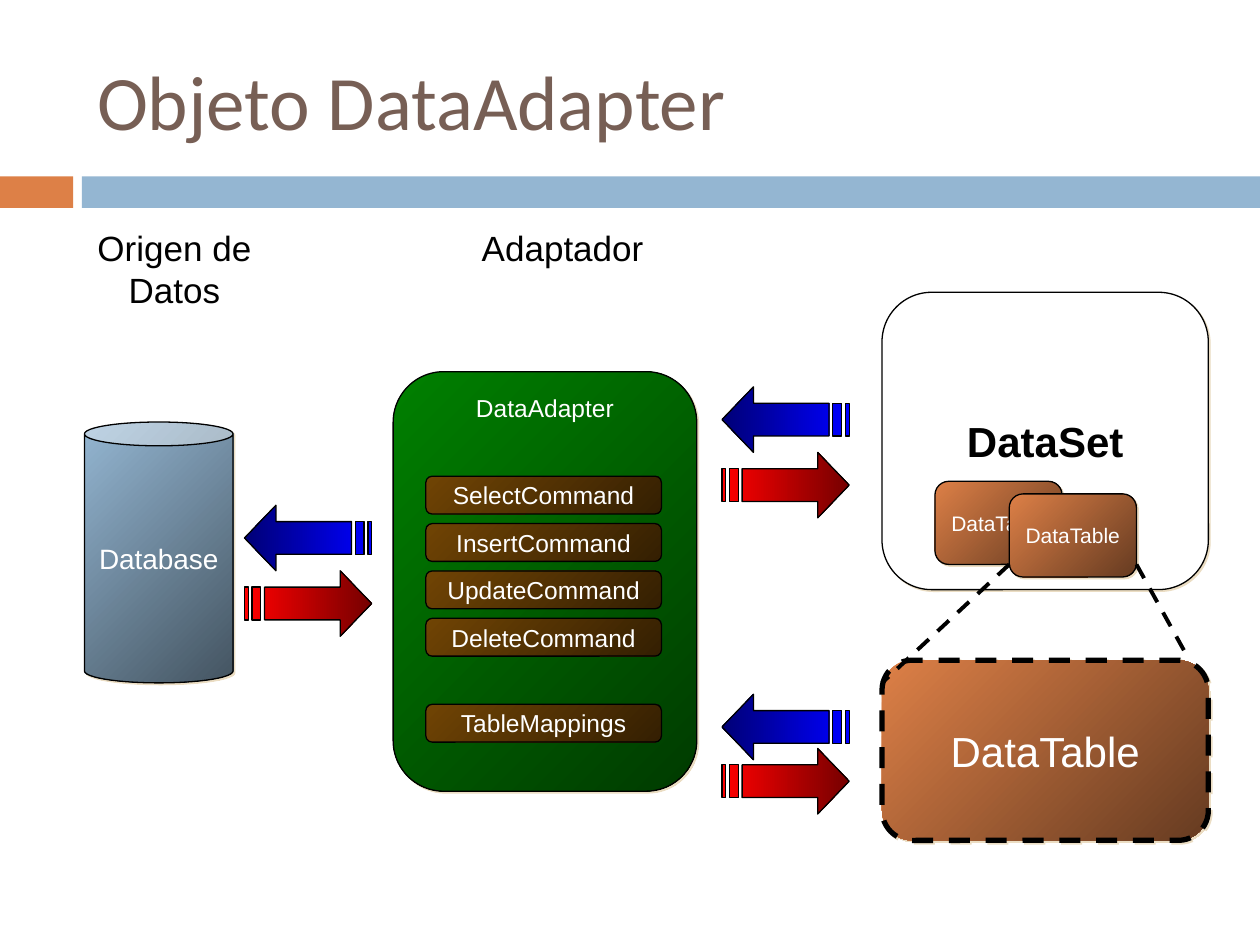
"""Build the Objeto DataAdapter slide as a diagram of native shapes."""
from lxml.etree import SubElement
from pptx import Presentation
from pptx.dml.color import RGBColor
from pptx.enum.dml import MSO_LINE
from pptx.enum.shapes import MSO_CONNECTOR, MSO_SHAPE
from pptx.enum.text import MSO_ANCHOR, PP_ALIGN
from pptx.oxml.ns import qn
from pptx.util import Inches, Pt

BLACK = RGBColor(0x00, 0x00, 0x00)
WHITE = RGBColor(0xFF, 0xFF, 0xFF)
BROWN_TEXT = RGBColor(0x77, 0x5F, 0x55)
ORANGE = RGBColor(0xDD, 0x80, 0x47)
LIGHT_BLUE = RGBColor(0x94, 0xB6, 0xD2)
GREENS = RGBColor(0x00, 0x80, 0x00), RGBColor(0x00, 0x3B, 0x00)
BROWNS = RGBColor(0x70, 0x44, 0x04), RGBColor(0x34, 0x1F, 0x02)
STEELS = LIGHT_BLUE, RGBColor(0x44, 0x54, 0x61)
ORANGES = ORANGE, RGBColor(0x66, 0x3B, 0x21)
REDS = RGBColor(0xFF, 0x00, 0x00), RGBColor(0x76, 0x00, 0x00)
BLUES = RGBColor(0x00, 0x00, 0xFF), RGBColor(0x00, 0x00, 0x76)
WHITES = WHITE, WHITE
SHADOW = "EBDDC3"


def style_shape(shape, colors, angle):
    shape.shadow.inherit = False
    shape.line.color.rgb = BLACK
    shape.line.width = Pt(0.75)
    if colors[0] == colors[1]:
        shape.fill.solid()
        shape.fill.fore_color.rgb = colors[0]
        return
    shape.fill.gradient()
    shape.fill.gradient_angle = angle
    for stop, color in zip(shape.fill.gradient_stops, colors):
        stop.color.rgb = color


def add_node(kind, box, colors, text, size, color=WHITE, shadow=True):
    shape = slide.shapes.add_shape(kind, *map(Inches, box))
    style_shape(shape, colors, 315)
    if shadow:
        effects = shape.element.spPr.find(qn("a:effectLst"))
        outer = SubElement(effects, qn("a:outerShdw"), dist="17960", dir="2700000")
        SubElement(outer, qn("a:srgbClr"), val=SHADOW)
    shape.text_frame.word_wrap = False
    shape.text_frame.vertical_anchor = MSO_ANCHOR.MIDDLE
    paragraph = shape.text_frame.paragraphs[0]
    paragraph.text = text
    paragraph.alignment = PP_ALIGN.CENTER
    paragraph.font.name = "Arial"
    paragraph.font.size = Pt(size)
    paragraph.font.color.rgb = color
    return shape


presentation = Presentation()
presentation.slide_width = Inches(10)
presentation.slide_height = Inches(7.5)
slide = presentation.slides.add_slide(presentation.slide_layouts[5])

for left, width, color in ((0, 0.58, ORANGE), (0.65, 9.35, LIGHT_BLUE)):
    bar = slide.shapes.add_shape(
        MSO_SHAPE.RECTANGLE, Inches(left), Inches(1.4), Inches(width), Inches(0.25))
    bar.shadow.inherit = False
    bar.fill.solid()
    bar.fill.fore_color.rgb = color
    bar.line.fill.background()

title = slide.shapes.title
title.left, title.top = Inches(0.67), Inches(0.25)
title.width, title.height = Inches(8.92), Inches(1.08)
title.text_frame.vertical_anchor = MSO_ANCHOR.MIDDLE
paragraph = title.text_frame.paragraphs[0]
paragraph.text = "Objeto DataAdapter"
paragraph.alignment = PP_ALIGN.LEFT
paragraph.font.name = "Calibri"
paragraph.font.size = Pt(44)
paragraph.font.color.rgb = BROWN_TEXT

rounded = MSO_SHAPE.ROUNDED_RECTANGLE
adapter = add_node(rounded, (3.12, 2.95, 2.41, 3.33), GREENS, "DataAdapter", 14)
adapter.text_frame.vertical_anchor = MSO_ANCHOR.TOP

commands = ("SelectCommand", "InsertCommand", "UpdateCommand", "DeleteCommand")
members = [(3.78 + 0.376 * row, name) for row, name in enumerate(commands)]
for top, name in members + [(5.59, "TableMappings")]:
    add_node(rounded, (3.38, top, 1.87, 0.3), BROWNS, name, 14, shadow=False)

database = add_node(MSO_SHAPE.CAN, (0.67, 3.35, 1.18, 2.07), STEELS, "Database", 16)
database.adjustments[0] = 0.16

table = add_node(rounded, (7, 5.24, 2.59, 1.43), ORANGES, "DataTable", 24)
table.line.width = Pt(3)
table.line.dash_style = MSO_LINE.DASH
dataset = add_node(rounded, (7, 2.32, 2.59, 2.36), WHITES, "DataSet", 24, BLACK)
dataset.text_frame.paragraphs[0].font.bold = True
for left, top in ((7.42, 3.82), (8.01, 3.92)):
    add_node(rounded, (left, top, 1.01, 0.66), ORANGES, "DataTable", 12)

for ends in ((8.01, 4.48, 7, 5.42), (9.02, 4.48, 9.44, 5.24)):
    line = slide.shapes.add_connector(MSO_CONNECTOR.STRAIGHT, *map(Inches, ends))
    line.line.color.rgb = BLACK
    line.line.width = Pt(2.25)
    line.line.dash_style = MSO_LINE.DASH
    SubElement(line.element.spPr, qn("a:effectLst"))

arrow_outlines = (
    ((0.76, 0), (0.76, 0.13), (0.16, 0.13), (0.16, 0.39),
     (0.76, 0.39), (0.76, 0.52), (1.01, 0.26)),
    ((0.06, 0.13), (0.06, 0.39), (0.13, 0.39), (0.13, 0.13)),
    ((0, 0.13), (0, 0.39), (0.03, 0.39), (0.03, 0.13)),
)
for left, red_top, blue_top in ((1.94, 4.53, 4.01), (5.73, 5.94, 5.51), (5.73, 3.59, 3.07)):
    for tail, top, direction, colors, angle in (
            (left, red_top, 1, REDS, 0), (left + 1.01, blue_top, -1, BLUES, 180)):
        outlines = [[(Inches(tail + direction * x), Inches(top + y)) for x, y in outline]
                    for outline in arrow_outlines]
        builder = slide.shapes.build_freeform(*outlines[0][0])
        builder.add_line_segments(outlines[0][1:])
        for outline in outlines[1:]:
            builder.move_to(*outline[0])
            builder.add_line_segments(outline[1:])
        style_shape(builder.convert_to_shape(), colors, angle)

for left, width, height, text in ((0.67, 1.43, 0.77, "Origen de Datos"),
                                  (3.62, 1.69, 0.44, "Adaptador")):
    label = slide.shapes.add_textbox(Inches(left), Inches(1.75), Inches(width), Inches(height))
    label.text_frame.word_wrap = True
    paragraph = label.text_frame.paragraphs[0]
    paragraph.text = text
    paragraph.alignment = PP_ALIGN.CENTER
    paragraph.font.name = "Arial"
    paragraph.font.size = Pt(20)
    paragraph.font.color.rgb = BLACK

presentation.save("out.pptx")
